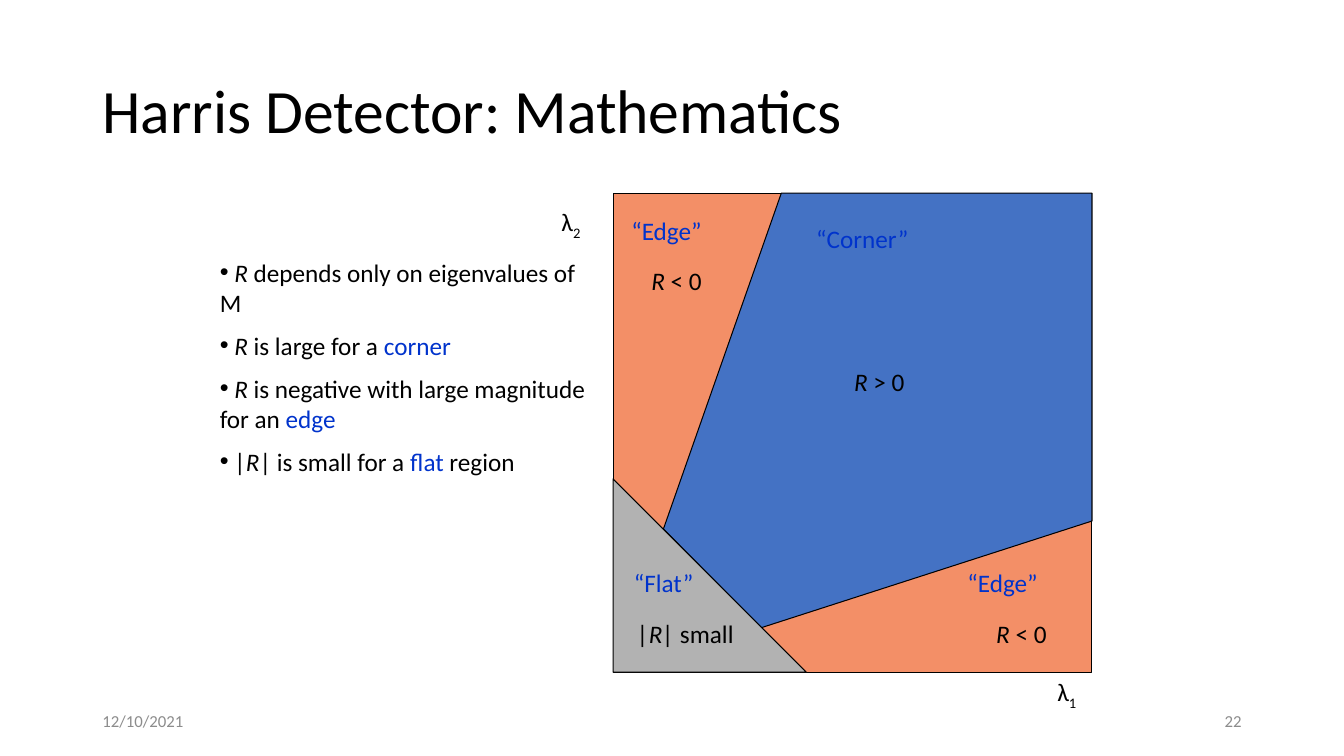
from dataclasses import dataclass

from lxml import etree
from pptx import Presentation
from pptx import util as u
from pptx.dml.color import RGBColor
from pptx.enum import shapes, text
from pptx.oxml import ns


@dataclass(frozen=True)
class Theme:
    font: str = "Calibri"
    title_size: int = 44
    body_size: int = 18
    footer_size: int = 12
    ink: str = "000000"
    accent: str = "0033CC"
    muted: str = "8C8C8C"
    edge: str = "F38F67"
    corner: str = "4472C4"
    flat: str = "B2B2B2"
    line_width: float = 0.75


THEME = Theme()
LEFT, CENTER, RIGHT = text.PP_ALIGN.LEFT, text.PP_ALIGN.CENTER, text.PP_ALIGN.RIGHT

# The eigenvalue plane, in centimetres
PLANE_LEFT, PLANE_TOP, PLANE_SIZE = 15.45, 4.87, 12.07
PLANE_RIGHT, PLANE_BOTTOM = PLANE_LEFT + PLANE_SIZE, PLANE_TOP + PLANE_SIZE
FLAT_SIZE = 4.87
CORNER_OUTLINE = [
    (16.72, 13.33), (19.69, PLANE_TOP), (PLANE_RIGHT, PLANE_TOP),
    (PLANE_RIGHT, 13.13), (19.18, 15.92 - 0.1),
]

BULLETS = [
    [(" ", ""), ("R", "italic"), (" depends only on eigenvalues of M", "")],
    [(" ", ""), ("R", "italic"), (" is large for a ", ""), ("corner", "accent")],
    [(" ", ""), ("R", "italic"), (" is negative with large magnitude for an ", ""),
     ("edge", "accent")],
    [(" |", ""), ("R", "italic"), ("| is small for a ", ""), ("flat", "accent"),
     (" region", "")],
]
REGION_NAMES = [
    ("“Corner”", 20.32, 5.5, 7.41, LEFT),
    ("“Edge”", 24.13, 14.18, 3.6, LEFT),
    ("“Edge”", 15.66, 5.29, 3.6, LEFT),
    ("“Flat”", 15.03, 14.18, 3.39, CENTER),
]
RESPONSES = [
    ("R", " > 0", 21.26, 9.1, 1.8),
    ("R", " < 0", 16.15, 6.56, 1.8),
    ("R", " < 0", 24.84, 15.45, 1.8),
    ("|R|", " small", 15.8, 15.45, 2.95),
]
AXES = [("1", 25.83, 16.93, 2.11), ("2", 12.91, 5.08, 2.96)]


def color(hex_value):
    return RGBColor.from_string(hex_value)


def set_font(font, size, hex_value):
    font.name, font.size = THEME.font, u.Pt(size)
    font.color.rgb = color(hex_value)


def add_bullet(para):
    props = para._p.get_or_add_pPr()
    props.set("marL", "0")
    props.set("indent", "0")
    etree.SubElement(props, ns.qn("a:buFont"), typeface="Arial")
    etree.SubElement(props, ns.qn("a:buChar"), char="•")


def add_spans(para, spans):
    """Add (text, style) pairs; style is italic, accent, subscript or empty."""
    for words, style in spans:
        span = para.add_run()
        span.text = words
        if style == "italic":
            span.font.italic = True
        elif style == "accent":
            span.font.color.rgb = color(THEME.accent)
        elif style == "subscript":
            span.font._element.set("baseline", "-25000")


def add_text(page, paragraphs, left, top, width, height=1.02, align=LEFT, wrap=True,
             bullets=False, size=THEME.body_size, ink=THEME.ink,
             anchor=text.MSO_ANCHOR.TOP):
    box = page.shapes.add_textbox(u.Cm(left), u.Cm(top), u.Cm(width), u.Cm(height))
    frame = box.text_frame
    frame.word_wrap = wrap
    frame.vertical_anchor = anchor
    for index, spans in enumerate(paragraphs):
        para = frame.add_paragraph() if index else frame.paragraphs[0]
        para.alignment = align
        if index:
            para.space_before = u.Pt(size / 2)
        if bullets:
            add_bullet(para)
        set_font(para.font, size, ink)
        add_spans(para, spans)


def paint(shape, fill):
    shape.shadow.inherit = False
    shape.fill.solid()
    shape.fill.fore_color.rgb = color(fill)
    shape.line.color.rgb = color(THEME.ink)
    shape.line.width = u.Pt(THEME.line_width)


def add_region(page, kind, left, top, size, fill):
    shape = page.shapes.add_shape(kind, u.Cm(left), u.Cm(top), u.Cm(size), u.Cm(size))
    paint(shape, fill)


def add_outline(page, points, fill):
    start, *rest = [(u.Cm(x), u.Cm(y)) for x, y in points]
    builder = page.shapes.build_freeform(*start)
    builder.add_line_segments(rest, close=True)
    paint(builder.convert_to_shape(), fill)


def set_title(page, words):
    title = page.shapes.title
    title.left, title.top = u.Cm(2.33), u.Cm(1.01)
    title.width, title.height = u.Cm(29.21), u.Cm(3.68)
    frame = title.text_frame
    frame.text = words
    frame.auto_size = text.MSO_AUTO_SIZE.NONE
    frame.vertical_anchor = text.MSO_ANCHOR.MIDDLE
    para = frame.paragraphs[0]
    para.alignment, para.line_spacing = LEFT, 0.9
    set_font(para.font, THEME.title_size, THEME.ink)


def add_footer(page, words, left, align):
    add_text(page, [[(words, "")]], left, 17.66, 7.62, align=align,
             size=THEME.footer_size, ink=THEME.muted, anchor=text.MSO_ANCHOR.MIDDLE)


def main():
    deck = Presentation()
    deck.slide_width, deck.slide_height = u.Cm(33.87), u.Cm(19.05)
    page = deck.slides.add_slide(deck.slide_layouts.get_by_name("Title Only"))
    set_title(page, "Harris Detector: Mathematics")

    kinds = shapes.MSO_SHAPE
    add_region(page, kinds.RECTANGLE, PLANE_LEFT, PLANE_TOP, PLANE_SIZE, THEME.edge)
    for index, left, top, width in AXES:
        add_text(page, [[("λ", ""), (index, "subscript")]], left, top, width,
                 align=CENTER)
    add_outline(page, CORNER_OUTLINE, THEME.corner)
    add_region(page, kinds.RIGHT_TRIANGLE, PLANE_LEFT, PLANE_BOTTOM - FLAT_SIZE,
               FLAT_SIZE, THEME.flat)

    for name, left, top, width, align in REGION_NAMES:
        add_text(page, [[(name, "accent")]], left, top, width, align=align)
    add_text(page, BULLETS, 5.29, 6.35, 9.74, 6.02, bullets=True)
    for symbol, relation, left, top, width in RESPONSES:
        add_text(page, [[(symbol, "italic"), (relation, "")]], left, top, width,
                 align=CENTER, wrap=False)

    add_footer(page, "12/10/2021", 2.33, LEFT)
    add_footer(page, "22", 23.92, RIGHT)
    deck.save("out.pptx")


if __name__ == "__main__":
    main()
